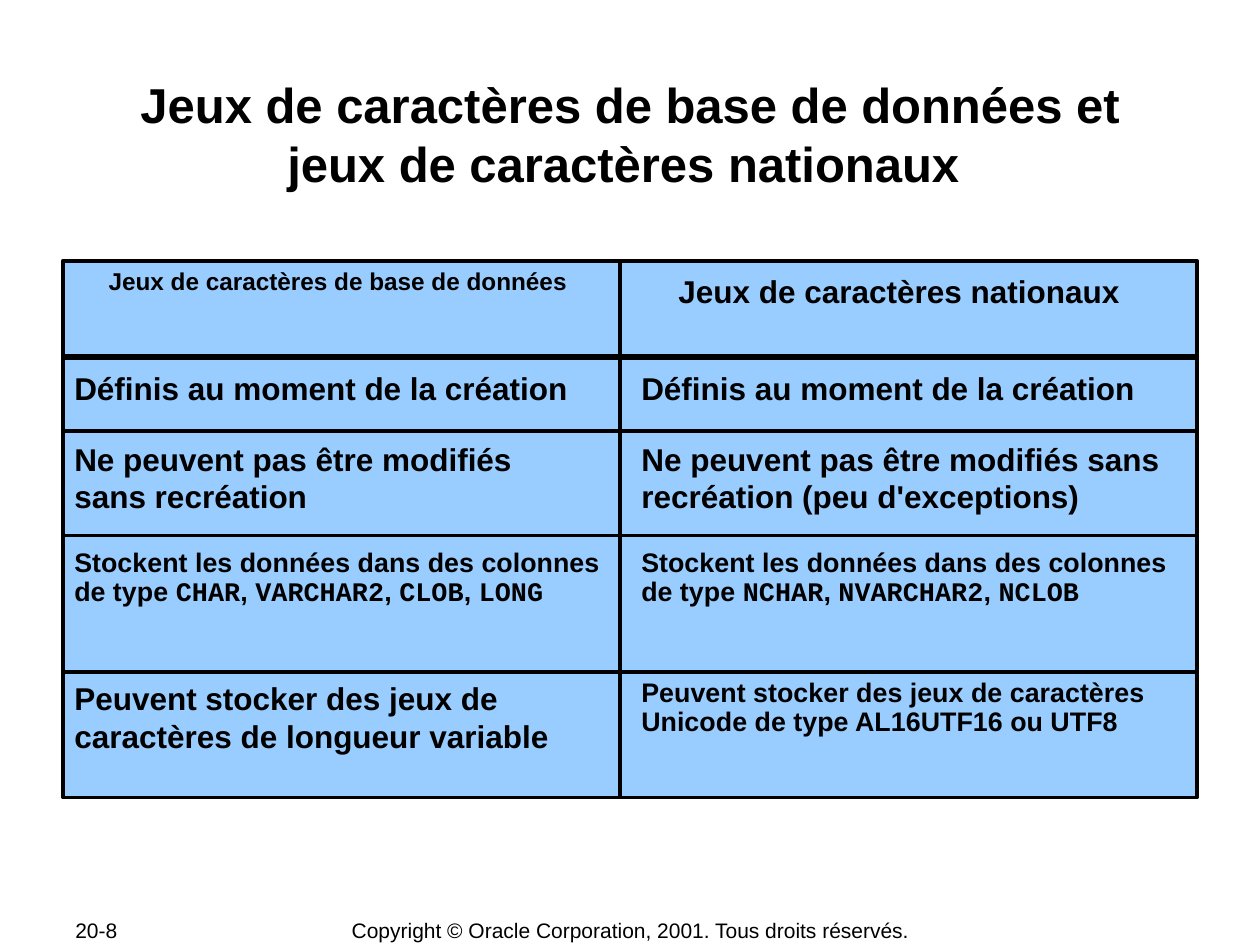
from dataclasses import dataclass

from lxml.etree import SubElement
from pptx import Presentation
from pptx.dml.color import RGBColor
from pptx.enum.shapes import MSO_CONNECTOR, MSO_SHAPE
from pptx.enum.text import MSO_ANCHOR, MSO_AUTO_SIZE, PP_ALIGN
from pptx.oxml.ns import qn
from pptx.util import Inches, Pt

COLORS = {"text": "000000", "line": "000000", "panel": "99CCFF"}
BODY_FONT, CODE_FONT = "Arial", "Courier New"
LEFT, TOP, RIGHT, BOTTOM = 0.5, 2.07, 9.5, 6.33
DIVIDER = 4.92
COLUMN_LEFT, COLUMN_RIGHT = 0.58, 5.08


@dataclass
class TextItem:
    """Text with its box; words between backticks are set in the code font."""
    text: str
    left: float
    top: float
    width: float
    height: float
    size: float = 18
    spacing: float | None = None
    align: PP_ALIGN = PP_ALIGN.LEFT
    bold: bool = True


@dataclass
class Rule:
    start: tuple[float, float]
    end: tuple[float, float]
    weight: float = 2.25


TITLE = TextItem("Jeux de caractères de base de données et jeux de caractères nationaux ",
                 1, 0.58, 8, 0.96, 28, align=PP_ALIGN.CENTER)

CELLS = [
    # Column headings
    TextItem("Jeux de caractères de base de données ", 0.75, 2.15, 3.92, 0.42, 13.9, 0.8,
             PP_ALIGN.CENTER),
    TextItem("Jeux de caractères nationaux ", 5.17, 2.15, 4, 0.42, align=PP_ALIGN.CENTER),
    # Body rows
    TextItem("Définis au moment de la création", COLUMN_LEFT, 2.92, 4.33, 0.4),
    TextItem("Définis au moment de la création", COLUMN_RIGHT, 2.92, 4, 0.4),
    TextItem("Ne peuvent pas être modifiés sans recréation", COLUMN_LEFT, 3.48, 3.54, 0.7),
    TextItem("Ne peuvent pas être modifiés sans recréation (peu d'exceptions)",
             COLUMN_RIGHT, 3.48, 4.42, 0.7),
    TextItem("Stockent les données dans des colonnes de type `CHAR`, `VARCHAR2`, `CLOB`, `LONG`",
             COLUMN_LEFT, 4.35, 4.33, 0.7, 15.3, 0.9),
    TextItem("Stockent les données dans des colonnes de type `NCHAR`, `NVARCHAR2`, `NCLOB`",
             COLUMN_RIGHT, 4.35, 4.33, 0.7, 15.3, 0.9),
    TextItem("Peuvent stocker des jeux de caractères de longueur variable",
             COLUMN_LEFT, 5.38, 3.92, 0.7),
    TextItem("Peuvent stocker des jeux de caractères Unicode de type AL16UTF16 ou UTF8",
             COLUMN_RIGHT, 5.38, 4.42, 0.7, 15.3, 0.9),
]

FOOTERS = [
    TextItem("20-8", 0.5, 7.28, 1.06, 0.2, 12, bold=False),
    TextItem("Copyright © Oracle Corporation, 2001. Tous droits réservés.",
             2.76, 7.28, 4.49, 0.21, 12, align=PP_ALIGN.CENTER, bold=False),
]

RULES = [
    Rule((LEFT, 2.83), (RIGHT, 2.83), 3.5),
    *(Rule((LEFT, y), (RIGHT, y)) for y in (3.42, 4.25, 5.33)),
    Rule((DIVIDER, BOTTOM), (DIVIDER, TOP)),
]


def color(name: str) -> RGBColor:
    return RGBColor.from_string(COLORS[name])


def fill_text(shape, item: TextItem, margin: float = 0.01) -> None:
    shape.left, shape.top = Inches(item.left), Inches(item.top)
    shape.width, shape.height = Inches(item.width), Inches(item.height)
    frame = shape.text_frame
    frame.word_wrap = True
    frame.auto_size = MSO_AUTO_SIZE.NONE
    frame.vertical_anchor = MSO_ANCHOR.TOP
    frame.margin_left = frame.margin_right = Inches(margin)
    frame.margin_top = frame.margin_bottom = Inches(0.01)
    paragraph = frame.paragraphs[0]
    paragraph.alignment = item.align
    paragraph.space_before = Pt(0)
    if item.spacing:
        paragraph.line_spacing = item.spacing
    font = paragraph.font
    font.name, font.size, font.bold = BODY_FONT, Pt(item.size), item.bold
    font.color.rgb = color("text")
    for index, part in enumerate(item.text.split("`")):
        if part:
            run = paragraph.add_run()
            run.text = part
            if index % 2:
                run.font.name = CODE_FONT


def add_text(slide, item: TextItem, margin: float = 0.01):
    shape = slide.shapes.add_textbox(0, 0, 0, 0)
    fill_text(shape, item, margin)
    return shape


def add_rule(slide, rule: Rule) -> None:
    points = [Inches(value) for value in (*rule.start, *rule.end)]
    connector = slide.shapes.add_connector(MSO_CONNECTOR.STRAIGHT, *points)
    connector.line.color.rgb = color("line")
    connector.line.width = Pt(rule.weight)
    SubElement(connector._element.spPr, qn("a:effectLst"))


def add_panel(slide) -> None:
    panel = slide.shapes.add_shape(MSO_SHAPE.RECTANGLE, Inches(LEFT), Inches(TOP),
                                   Inches(RIGHT - LEFT), Inches(BOTTOM - TOP))
    panel.shadow.inherit = False
    panel.fill.solid()
    panel.fill.fore_color.rgb = color("panel")
    panel.line.color.rgb = color("line")
    panel.line.width = Pt(2.25)


def main() -> None:
    presentation = Presentation()
    presentation.slide_width, presentation.slide_height = Inches(10), Inches(7.5)
    slide = presentation.slides.add_slide(presentation.slide_layouts[5])

    # Title
    fill_text(slide.shapes.title, TITLE)

    # Comparison grid
    add_panel(slide)
    for rule in RULES:
        add_rule(slide, rule)
    for cell in CELLS:
        add_text(slide, cell)

    # Page number and copyright line
    for footer in FOOTERS:
        frame = add_text(slide, footer, margin=0.1).text_frame
        frame.word_wrap = False
        frame.vertical_anchor = MSO_ANCHOR.MIDDLE

    presentation.save("out.pptx")


if __name__ == "__main__":
    main()
